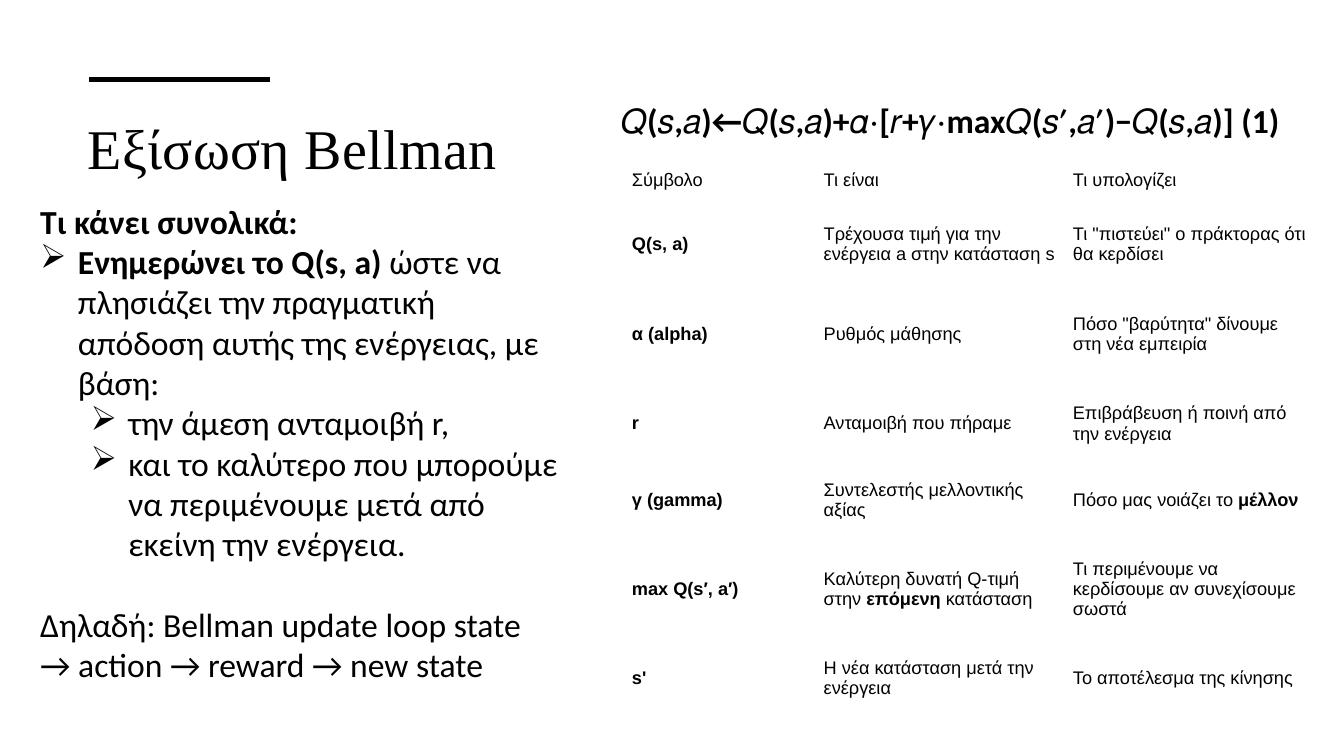
from lxml.etree import SubElement
from pptx import Presentation
from pptx.dml.color import RGBColor
from pptx.enum.shapes import MSO_CONNECTOR as Connector
from pptx.enum.text import MSO_ANCHOR as Anchor, MSO_AUTO_SIZE as AutoSize
from pptx.oxml.ns import qn
from pptx.util import Pt

BLACK = RGBColor(0, 0, 0)

EQUATION = "𝑄(𝑠,𝑎)←𝑄(𝑠,𝑎)+𝛼⋅[𝑟+𝛾⋅max𝑄(𝑠′,𝑎′)−𝑄(𝑠,𝑎)] (1)"

# Text between asterisks is bold.
SYMBOLS = [
    ("Σύμβολο", "Τι είναι", "Τι υπολογίζει"),
    ("*Q(s, a)*", "Τρέχουσα τιμή για την ενέργεια a στην κατάσταση s",
     "Τι \"πιστεύει\" ο πράκτορας ότι θα κερδίσει"),
    ("*α (alpha)*", "Ρυθμός μάθησης",
     "Πόσο \"βαρύτητα\" δίνουμε στη νέα εμπειρία"),
    ("*r*", "Ανταμοιβή που πήραμε", "Επιβράβευση ή ποινή από την ενέργεια"),
    ("*γ (gamma)*", "Συντελεστής μελλοντικής αξίας",
     "Πόσο μας νοιάζει το *μέλλον*"),
    ("*max Q(s′, a′)*", "Καλύτερη δυνατή Q-τιμή στην *επόμενη* κατάσταση",
     "Τι περιμένουμε να κερδίσουμε αν συνεχίσουμε σωστά"),
    ("*s'*", "Η νέα κατάσταση μετά την ενέργεια", "Το αποτέλεσμα της κίνησης"),
]
COLUMN_WIDTHS = (137, 178, 177)
ROW_HEIGHTS = (27.4, 64, 64, 64, 45.4, 82, 45.4)

# Text, bullet level (None for plain text), space before.
SUMMARY = [
    ("*Τι κάνει συνολικά:*", None, 0),
    ("*Ενημερώνει το Q(s, a) *ώστε να πλησιάζει την πραγματική απόδοση "
     "αυτής της ενέργειας, με βάση:", 0, 0),
    ("την άμεση ανταμοιβή r,", 1, 0),
    ("και το καλύτερο που μπορούμε να περιμένουμε μετά από εκείνη την "
     "ενέργεια.", 1, 0),
    ("Δηλαδή: Bellman update loop state → action → reward → new state",
     None, 29),
]


class SlideBuilder:
    def __init__(self, page, color):
        self.page = page
        self.color = color

    def add_spans(self, para, text, size, font, tracking=0):
        """Add runs to a paragraph, bold between asterisks."""
        for index, part in enumerate(text.split("*")):
            if not part:
                continue
            span = para.add_run()
            span.text = part
            span.font.size = Pt(size)
            span.font.name = font
            span.font.bold = index % 2 == 1
            span.font.color.rgb = self.color
            if tracking:
                span._r.get_or_add_rPr().set("spc", str(round(tracking * 100)))

    def text_box(self, left, top, width, height):
        box = self.page.shapes.add_textbox(Pt(left), Pt(top), Pt(width), Pt(height))
        box.text_frame.word_wrap = True
        return box.text_frame

    def rule(self, left, top, width, weight):
        line = self.page.shapes.add_connector(
            Connector.STRAIGHT, Pt(left), Pt(top), Pt(left + width), Pt(top))
        line.line.color.rgb = self.color
        line.line.width = Pt(weight)
        SubElement(line._element.spPr, qn("a:effectLst"))

    def bullet(self, para, level):
        para.level = level
        properties = para._p.get_or_add_pPr()
        properties.set("marL", str(Pt(27 + 36 * level)))
        properties.set("indent", str(Pt(-27)))
        SubElement(properties, qn("a:buChar")).set("char", "➢")

    def paragraphs(self, frame, items, size, font):
        for index, (text, level, space) in enumerate(items):
            para = frame.add_paragraph() if index else frame.paragraphs[0]
            if space:
                para.space_before = Pt(space)
            if level is not None:
                self.bullet(para, level)
            self.add_spans(para, text, size, font)

    def table(self, left, top, rows, widths, heights, size, font):
        table = self.page.shapes.add_table(
            len(rows), len(widths), Pt(left), Pt(top),
            Pt(sum(widths)), Pt(sum(heights))).table
        table.first_row = table.horz_banding = False
        for column, width in zip(table.columns, widths):
            column.width = Pt(width)
        for row, height, texts in zip(table.rows, heights, rows):
            row.height = Pt(height)
            for cell, text in zip(row.cells, texts):
                cell.fill.background()
                cell.vertical_anchor = Anchor.MIDDLE
                cell.margin_left = cell.margin_right = Pt(5)
                cell.margin_top = cell.margin_bottom = Pt(2.6)
                self.add_spans(cell.text_frame.paragraphs[0], text, size, font)


def main():
    deck = Presentation()
    deck.slide_width, deck.slide_height = Pt(960), Pt(540)
    builder = SlideBuilder(deck.slides.add_slide(deck.slide_layouts[6]), BLACK)

    title = builder.text_box(55.4, 72, 472, 103)
    title.margin_top = Pt(9)
    builder.add_spans(title.paragraphs[0], "Εξίσωση Bellman", 40,
                      "Times New Roman", tracking=0.3)
    builder.rule(63.6, 57, 129, 3.5)

    equation = builder.text_box(436.4, 65, 516, 58)
    equation.paragraphs[0].line_spacing = 1.1
    builder.add_spans(equation.paragraphs[0], f"*{EQUATION}*", 24, "Calibri")

    builder.table(446.4, 115.2, SYMBOLS, COLUMN_WIDTHS, ROW_HEIGHTS, 13, "Arial")

    summary = builder.text_box(21.6, 139.7, 384, 385)
    summary.auto_size = AutoSize.SHAPE_TO_FIT_TEXT
    builder.paragraphs(summary, SUMMARY, 24, "Calibri")

    deck.save("out.pptx")


if __name__ == "__main__":
    main()
